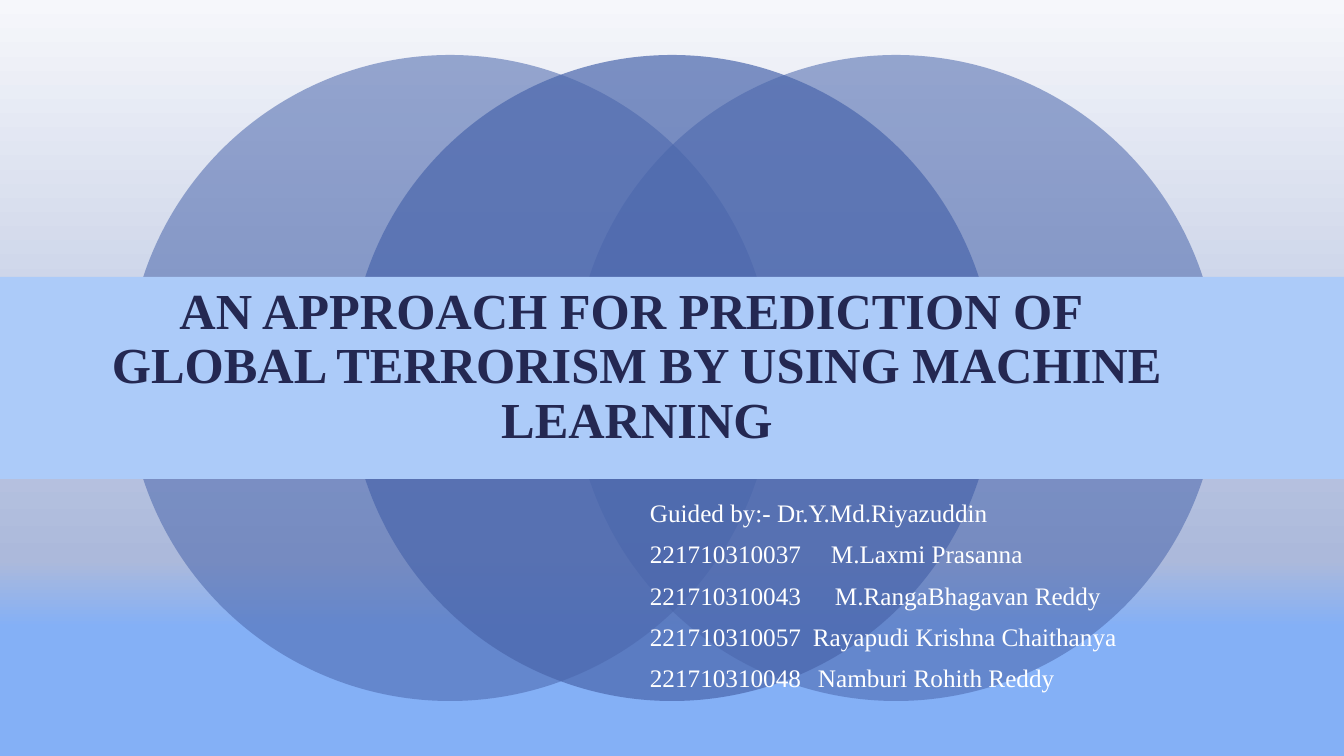
from lxml import etree
from pptx import Presentation
from pptx.dml.color import RGBColor
from pptx.enum.shapes import MSO_SHAPE
from pptx.enum.text import MSO_ANCHOR, MSO_AUTO_SIZE, PP_ALIGN
from pptx.oxml.ns import qn
from pptx.util import Emu, Pt

PX = 9072
FONT = "Times New Roman"


def px(*lengths):
    return [Emu(length * PX) for length in lengths]


def paint(target, color):
    if hasattr(target, "solid"):
        target.solid()
        target.fore_color.rgb = RGBColor.from_string(color)
    else:
        target.rgb = RGBColor.from_string(color)


prs = Presentation()
prs.slide_width, prs.slide_height = px(1344, 756)
slide = prs.slides.add_slide(prs.slide_layouts[5])

backdrop = slide.background.fill
backdrop.gradient()
backdrop.gradient_angle = 270
stops = slide.background._cSld.find(".//" + qn("a:gsLst"))
for stop in list(stops):
    stops.remove(stop)
for percent, color in [(0, "F6F7FB"), (43, "C8D1E7"), (74, "ACB9DB"), (83, "84B0F6")]:
    stop = etree.SubElement(stops, qn("a:gs"), pos=str(percent * 1000))
    etree.SubElement(stop, qn("a:srgbClr"), val=color)

for left, opacity in [(127, 55), (573, 55), (349, 70)]:
    circle = slide.shapes.add_shape(MSO_SHAPE.OVAL, *px(left, 55, 646, 646))
    circle.shadow.inherit = False
    circle.line.fill.background()
    paint(circle.fill, "4A66AC")
    tint = circle._element.spPr.find(".//" + qn("a:srgbClr"))
    etree.SubElement(tint, qn("a:alpha"), val=str(opacity * 1000))

band = slide.shapes.add_shape(MSO_SHAPE.RECTANGLE, *px(0, 277, 1344, 202))
band.shadow.inherit = False
band.line.fill.background()
paint(band.fill, "ACCBF9")

title = slide.shapes.title
title.left, title.top, title.width, title.height = px(98, 277, 1078, 181)
slide.shapes._spTree.append(title._element)
title.text_frame.text = "AN APPROACH FOR PREDICTION OF \vGLOBAL TERRORISM BY USING MACHINE LEARNING"
title.text_frame.word_wrap = True
title.text_frame.auto_size = MSO_AUTO_SIZE.NONE
title.text_frame.vertical_anchor = MSO_ANCHOR.MIDDLE
heading = title.text_frame.paragraphs[0]
heading.alignment = PP_ALIGN.CENTER
heading.line_spacing = 0.9
for run in heading.runs:
    run.font.name, run.font.size, run.font.bold = FONT, Pt(36), True
    paint(run.font.color, "242852")

team = [
    ("Guided by:- Dr.Y.Md.Riyazuddin", 0),
    ("221710310037\tM.Laxmi Prasanna", 181),
    ("221710310043\tM.RangaBhagavan Reddy", 185),
    ("221710310057\tRayapudi Krishna Chaithanya", 163),
    ("221710310048\tNamburi Rohith Reddy", 168),
]
credits = slide.shapes.add_textbox(*px(640, 496, 536, 206)).text_frame
credits.word_wrap = True
for index, (line, name_offset) in enumerate(team):
    credit = credits.paragraphs[0] if index == 0 else credits.add_paragraph()
    credit.text = line
    credit.alignment = PP_ALIGN.LEFT
    credit.line_spacing = 0.9
    credit.space_before = Pt(10)
    if name_offset:
        tabs = etree.SubElement(credit._p.get_or_add_pPr(), qn("a:tabLst"))
        etree.SubElement(tabs, qn("a:tab"), pos=str(name_offset * PX), algn="l")
    for run in credit.runs:
        run.font.name, run.font.size = FONT, Pt(18)
        paint(run.font.color, "FFFFFF")

prs.save("out.pptx")
